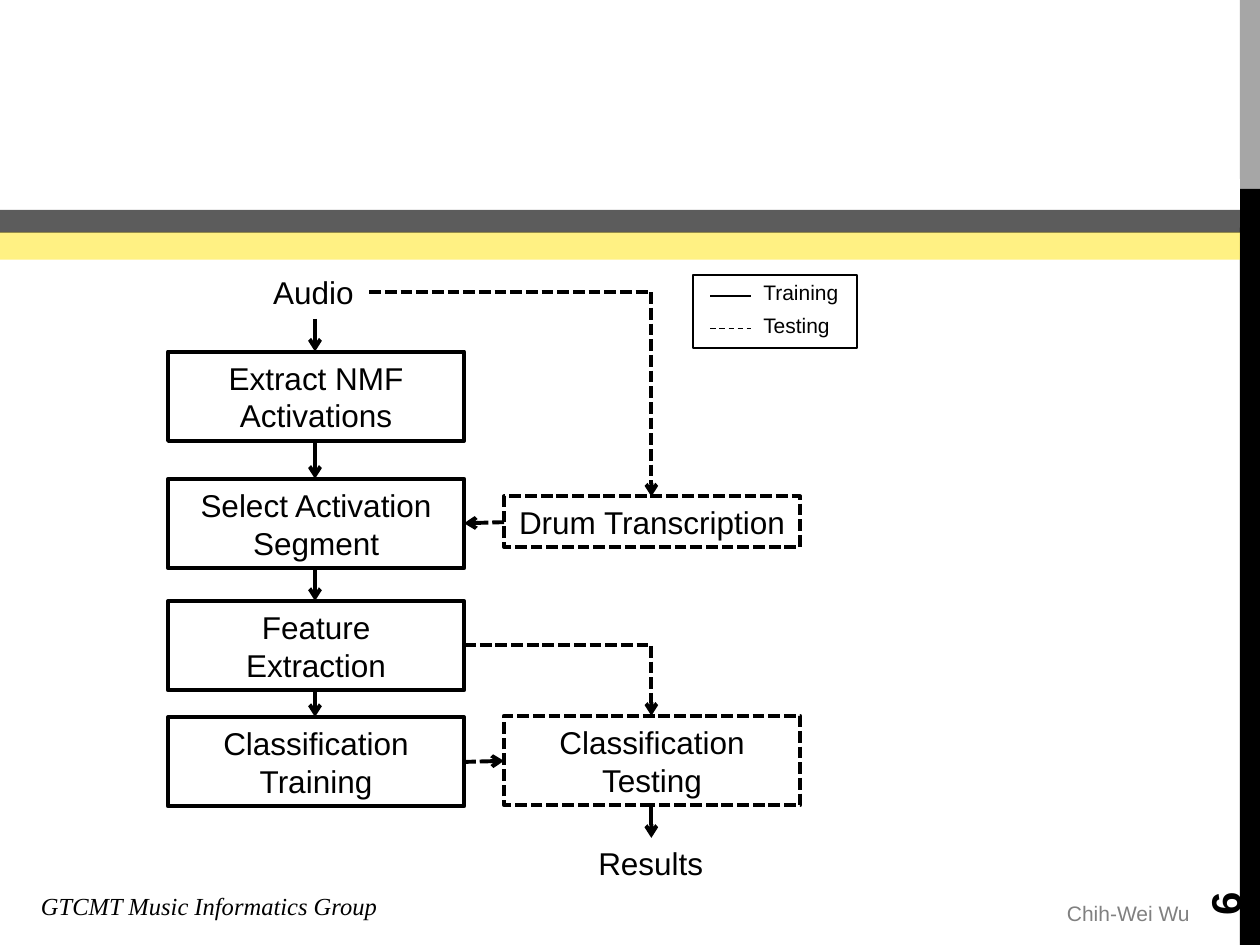
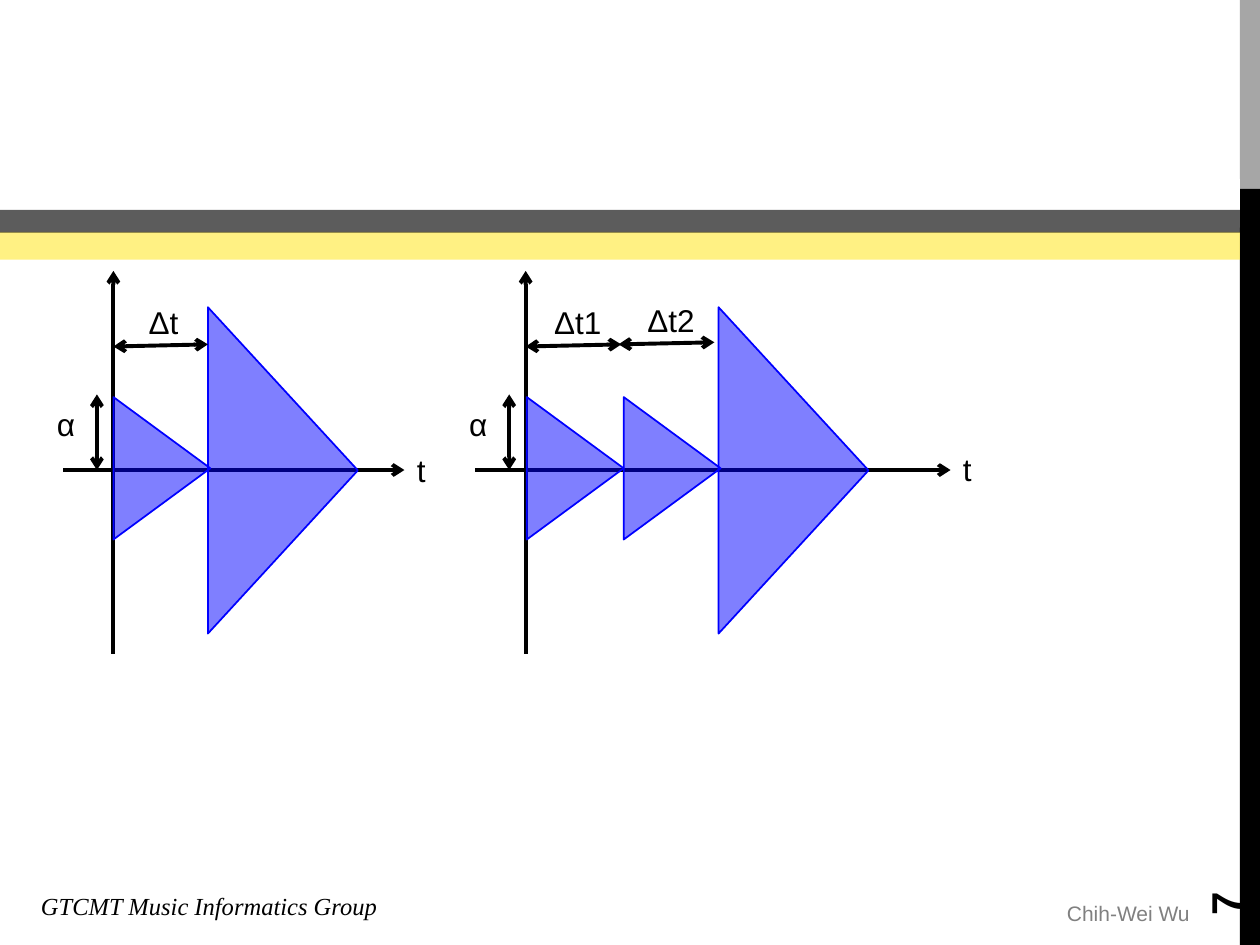
import dataclasses
import itertools
import typing

import lxml.etree
import pptx
import pptx.dml.color
import pptx.enum.dml
import pptx.enum.shapes
import pptx.enum.text
import pptx.oxml.ns
import pptx.util

Pt = pptx.util.Pt
qn = pptx.oxml.ns.qn
SHAPE = pptx.enum.shapes.MSO_SHAPE
CONNECTOR = pptx.enum.shapes.MSO_CONNECTOR
ALIGN = pptx.enum.text.PP_ALIGN
ANCHOR = pptx.enum.text.MSO_ANCHOR
DASH = pptx.enum.dml.MSO_LINE

COLOURS = {
    "ink": "000000",
    "paper": "FFFFFF",
    "grey": "A6A6A6",
    "footer": "808080",
    "yellow": "FFE93B",
    "blue": "0000FF",
}
SIDE_LEFT = 708.5
STROKE = 2.25
LABEL_HEIGHT = 28.8


@dataclasses.dataclass(frozen=True)
class Band:
    left: float
    top: float
    width: float
    height: float
    colour: str
    opacity: int = 100


@dataclasses.dataclass(frozen=True)
class Step:
    text: str
    left: float
    top: float
    height: float = 51.1
    width: float = 169.2
    dash: typing.Any = None

    @property
    def right(self) -> float:
        return self.left + self.width

    @property
    def bottom(self) -> float:
        return self.top + self.height


@dataclasses.dataclass(frozen=True)
class Label:
    text: str
    left: float
    top: float
    width: float
    height: float = LABEL_HEIGHT
    size: float = 18


@dataclasses.dataclass(frozen=True)
class Interval:
    start: float
    end: float
    top: float
    label: Label


@dataclasses.dataclass(frozen=True)
class Pattern:
    origin: float
    axis_end: float
    small_lefts: tuple[float, ...]
    large_left: float
    intervals: tuple[Interval, ...]
    time_top: float


BANDS = [
    Band(SIDE_LEFT, 0, 11.5, 108, "grey"),
    Band(SIDE_LEFT, 108, 11.5, 432, "ink"),
    Band(0, 102.2, SIDE_LEFT, 28, "paper"),
    Band(0, 132.5, SIDE_LEFT, 16, "yellow", 63),
    Band(0, 120, SIDE_LEFT, 13, "ink", 64),
]

TRAINING_LEFT, TESTING_LEFT = 96, 288
TRAINING_STEPS = [
    Step("Extract NMF Activations", TRAINING_LEFT, 200.9),
    Step("Select Activation Segment", TRAINING_LEFT, 273.6),
    Step("Feature\nExtraction", TRAINING_LEFT, 343.4),
    Step("Classification\nTraining", TRAINING_LEFT, 409.7),
]
TRANSCRIPTION = Step("Drum Transcription", TESTING_LEFT, 283.7, 28.8, dash=DASH.SQUARE_DOT)
TESTING = Step("Classification Testing", TESTING_LEFT, 409, dash=DASH.SQUARE_DOT)
FLOW_LABELS = [
    Label("Audio", 149, 152.6, 62),
    Label("Results", 334.8, 478.8, 75),
    Label("Training", 429.1, 156.2, 57.6, 21.6, 12),
    Label("Testing", 429.1, 175, 53.3, 21.6, 12),
]

AXIS_TOP = 268.6
PATTERNS = [
    Pattern(
        64.8, 231.1, (64.8,), 118.8,
        (Interval(64.8, 118.8, 198, Label("Δt", 77.8, 169.9, 32.4)),),
        254.2,
    ),
    Pattern(
        300.4, 543.2, (301, 356.4), 410.6,
        (
            Interval(300.4, 355, 198, Label("Δt1", 309.6, 169.9, 42.5)),
            Interval(353.5, 408.2, 196.8, Label("Δt2", 362.9, 168.5, 42.5)),
        ),
        253.4,
    ),
]


def rgb(colour: str) -> pptx.dml.color.RGBColor:
    return pptx.dml.color.RGBColor.from_string(COLOURS[colour])


def write_text(
    frame: typing.Any, text: str, *, size: float = 18, font: str = "Arial",
    colour: str = "ink", bold: bool = False, italic: bool = False,
    align: typing.Any = ALIGN.LEFT, anchor: typing.Any = ANCHOR.TOP, wrap: bool = False,
) -> None:
    frame.word_wrap = wrap
    frame.vertical_anchor = anchor
    frame.text = text
    for para in frame.paragraphs:
        para.alignment = align
        for span in para.runs:
            span.font.size = Pt(size)
            span.font.name = font
            span.font.bold = bold
            span.font.italic = italic
            span.font.color.rgb = rgb(colour)


def add_label(page: typing.Any, label: Label, **style: typing.Any) -> typing.Any:
    box = page.shapes.add_textbox(Pt(label.left), Pt(label.top), Pt(label.width), Pt(label.height))
    write_text(box.text_frame, label.text, size=label.size, **style)
    return box


def add_block(
    page: typing.Any, kind: typing.Any, left: float, top: float, width: float, height: float, *,
    fill: str | None = None, opacity: int = 100, line: str | None = None,
    weight: float = 1, dash: typing.Any = None,
) -> typing.Any:
    block = page.shapes.add_shape(kind, Pt(left), Pt(top), Pt(width), Pt(height))
    block.shadow.inherit = False
    if fill is None:
        block.fill.background()
    else:
        block.fill.solid()
        block.fill.fore_color.rgb = rgb(fill)
        if opacity < 100:
            colour = block._element.spPr.find(qn("a:solidFill")).find(qn("a:srgbClr"))
            lxml.etree.SubElement(colour, qn("a:alpha")).set("val", str(opacity * 1000))
    if line is None:
        block.line.fill.background()
    else:
        block.line.color.rgb = rgb(line)
        block.line.width = Pt(weight)
        if dash is not None:
            block.line.dash_style = dash
    return block


def add_line(
    page: typing.Any, start: tuple[float, float], end: tuple[float, float], *,
    weight: float = STROKE, dash: typing.Any = None, bent: bool = False,
    head: bool = False, tail: bool = True,
) -> None:
    kind = CONNECTOR.ELBOW if bent else CONNECTOR.STRAIGHT
    line = page.shapes.add_connector(kind, *(Pt(value) for value in (*start, *end)))
    properties = line._element.spPr
    if bent:
        properties.find(qn("a:prstGeom")).set("prst", "bentConnector2")
    line.line.color.rgb = rgb("ink")
    line.line.width = Pt(weight)
    if dash is not None:
        line.line.dash_style = dash
    for tag, wanted in (("a:headEnd", head), ("a:tailEnd", tail)):
        if wanted:
            lxml.etree.SubElement(properties.find(qn("a:ln")), qn(tag)).set("type", "arrow")
    lxml.etree.SubElement(properties, qn("a:effectLst"))


def add_page(deck: typing.Any, number: int) -> typing.Any:
    page = deck.slides.add_slide(deck.slide_layouts[6])
    for band in BANDS:
        add_block(page, SHAPE.RECTANGLE, band.left, band.top, band.width, band.height,
                  fill=band.colour, opacity=band.opacity)
    add_label(page, Label("GTCMT Music Informatics Group", 16.3, 505.4, 212.4, 24.2, 14),
              font="Times New Roman", italic=True)
    add_label(page, Label("Chih-Wei Wu", 602.6, 511.2, 85.7, 21.6, 12), colour="footer")
    box = add_label(page, Label(str(number), 648, 463.7, 103.7, 28.8, 24),
                    bold=True, anchor=ANCHOR.MIDDLE, wrap=True)
    box.rotation = 270
    return page


def add_step(page: typing.Any, step: Step) -> None:
    block = add_block(page, SHAPE.RECTANGLE, step.left, step.top, step.width, step.height,
                      line="ink", weight=STROKE, dash=step.dash)
    write_text(block.text_frame, step.text, align=ALIGN.CENTER, anchor=ANCHOR.MIDDLE, wrap=True)


def draw_flow(page: typing.Any) -> None:
    for step in (*TRAINING_STEPS, TRANSCRIPTION, TESTING):
        add_step(page, step)
    for label in FLOW_LABELS:
        add_label(page, label)

    training_x, testing_x = 180, 372.2
    add_line(page, (training_x, 182.2), (training_x, TRAINING_STEPS[0].top))
    for upper, lower in itertools.pairwise(TRAINING_STEPS):
        add_line(page, (training_x, upper.bottom), (training_x, lower.top))
    add_line(page, (testing_x, TESTING.bottom), (testing_x, 478.8))

    dash = DASH.SQUARE_DOT
    right = TRAINING_STEPS[0].right
    add_line(page, (211, 167), (testing_x, TRANSCRIPTION.top), dash=dash, bent=True)
    add_line(page, (right, 368.6), (testing_x, TESTING.top), dash=dash, bent=True)
    add_line(page, (TESTING_LEFT, 298.4), (right, 299), dash=dash)
    add_line(page, (right, 435.4), (TESTING_LEFT, 434.8), dash=dash)

    add_block(page, SHAPE.RECTANGLE, 396, 157, 93.6, 41.8, line="ink")
    for top, style in ((169.2, None), (187.9, DASH.DASH)):
        add_line(page, (406, top), (429, top), weight=0.75, dash=style, tail=False)


def add_decay(page: typing.Any, left: float, middle: float, length: float, span: float) -> None:
    block = add_block(page, SHAPE.ISOSCELES_TRIANGLE, left + (length - span) / 2,
                      middle - length / 2, span, length, fill="blue", opacity=50, line="blue")
    block.rotation = 90


def draw_pattern(page: typing.Any, pattern: Pattern) -> None:
    origin = pattern.origin
    add_line(page, (origin - 28.8, AXIS_TOP), (pattern.axis_end, AXIS_TOP))
    add_line(page, (origin, 373.7), (origin, 154.8))
    for left in pattern.small_lefts:
        add_decay(page, left, 267.6, 55.4, 81.4)
    add_decay(page, pattern.large_left, 268.8, 85.7, 186.5)
    for interval in pattern.intervals:
        add_line(page, (interval.start, interval.top), (interval.end, interval.top - 1.2), head=True)
        add_label(page, interval.label)
    add_line(page, (origin - 9.4, AXIS_TOP), (origin - 9.4, 225.4), head=True)
    add_label(page, Label("α", origin - 39.4, 228.2, 26.6))
    add_label(page, Label("t", pattern.axis_end, pattern.time_top, 19.4))


def main() -> None:
    deck = pptx.Presentation()
    deck.slide_width, deck.slide_height = Pt(720), Pt(540)
    draw_flow(add_page(deck, 6))
    patterns_page = add_page(deck, 7)
    for pattern in PATTERNS:
        draw_pattern(patterns_page, pattern)
    deck.save("out.pptx")


if __name__ == "__main__":
    main()
